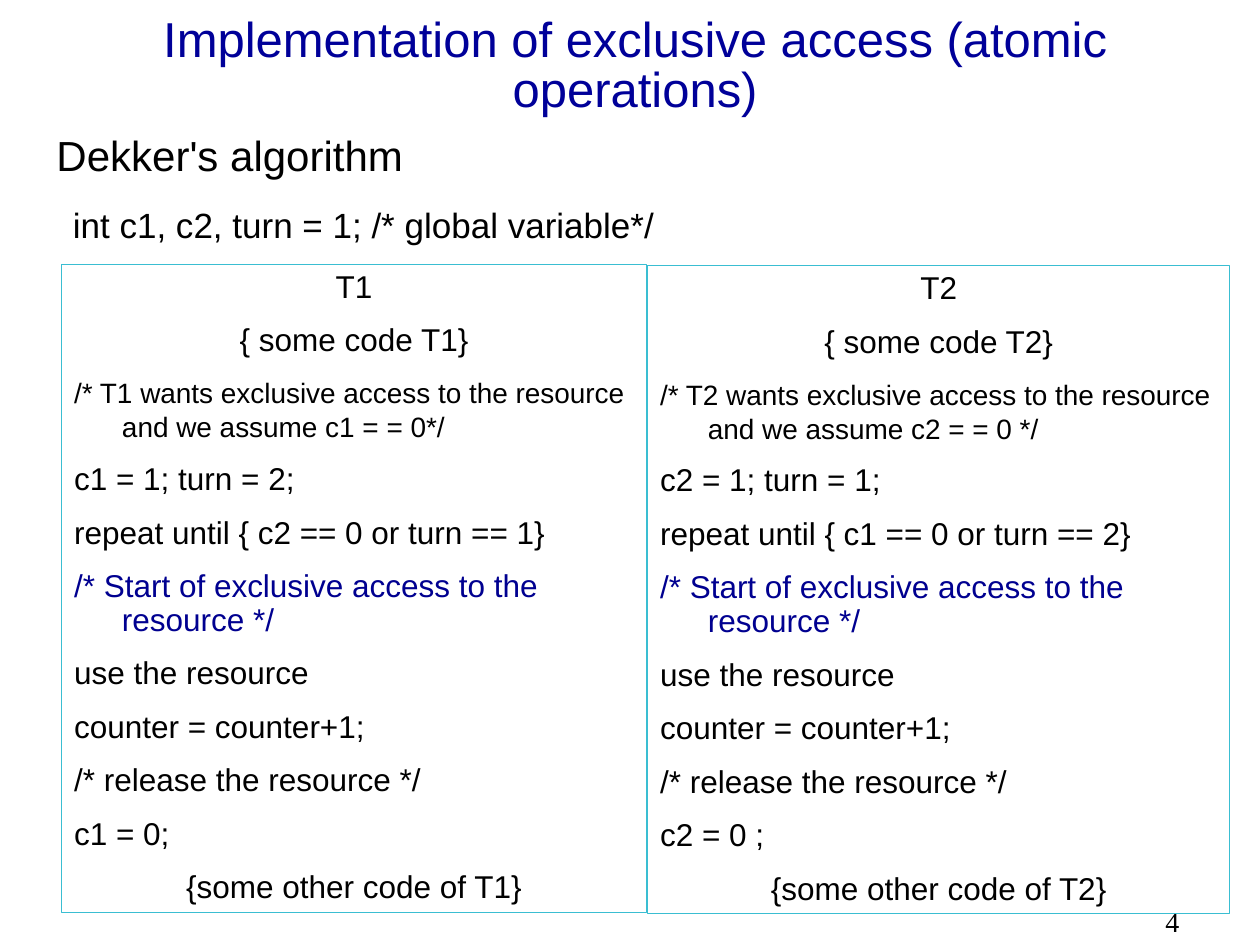
from pptx import Presentation
from pptx.dml.color import RGBColor
from pptx.enum.shapes import MSO_SHAPE
from pptx.enum.text import MSO_ANCHOR, PP_ALIGN
from pptx.util import Inches, Pt

LEFT, CENTER = PP_ALIGN.LEFT, PP_ALIGN.CENTER
TOP, MIDDLE = MSO_ANCHOR.TOP, MSO_ANCHOR.MIDDLE
RECTANGLE = MSO_SHAPE.RECTANGLE
BLACK, TITLE_BLUE, CODE_BLUE, TEAL = "000000", "000099", "000090", "3ABED2"


def color(value):
    return RGBColor.from_string(value)


def write(box, lines, anchor=TOP, spacing=19.4, hanging=0.38, font_name="Arial"):
    frame = box.text_frame
    frame.word_wrap = True
    frame.vertical_anchor = anchor
    for index, (text, size, text_color, alignment) in enumerate(lines):
        para = frame.paragraphs[0] if index == 0 else frame.add_paragraph()
        properties = para._p.get_or_add_pPr()
        properties.set("marL", str(Inches(hanging)))
        properties.set("indent", str(-Inches(hanging)))
        formats = {
            "alignment": alignment,
            "line_spacing": Pt(spacing) if spacing else None,
            "space_before": Pt(size * 0.62 if index else 0),
        }
        for name, value in formats.items():
            setattr(para, name, value)
        span = para.add_run()
        span.text = text
        for name, value in {"name": font_name, "size": Pt(size)}.items():
            setattr(span.font, name, value)
        span.font.color.rgb = color(text_color)


deck = Presentation()
deck.slide_width, deck.slide_height = Inches(10), Inches(7.5)
page = deck.slides.add_slide(deck.slide_layouts[6])

text_boxes = [
    ((9.15, 7.13, 0.85, 0.37), ("4", 16, BLACK, LEFT),
     {"spacing": None, "font_name": "Times New Roman"}),
    ((0.79, 0.19, 8.5, 0.69),
     ("Implementation of exclusive access (atomic operations)", 28, TITLE_BLUE, CENTER),
     {"anchor": MIDDLE, "spacing": 28.4, "hanging": 0}),
    ((0.35, 1.11, 9.47, 0.5), ("Dekker's algorithm", 24, BLACK, LEFT), {}),
    ((0.48, 1.63, 9.39, 0.37),
     ("int c1, c2, turn = 1; /* global variable*/", 20, BLACK, LEFT), {}),
]
for place, line, options in text_boxes:
    box = page.shapes.add_textbox(*map(Inches, place))
    write(box, [line], **options)

threads = [
    (1, 2, (0.49, 2.1, 4.64, 5.14), "= 0*/", "= 0;"),
    (2, 1, (5.14, 2.11, 4.62, 5.14), "= 0 */", "= 0 ;"),
]
for own, other, place, assumed, reset in threads:
    panel = page.shapes.add_shape(RECTANGLE, *map(Inches, place))
    panel.shadow.inherit = False
    panel.fill.background()
    panel.line.color.rgb = color(TEAL)
    panel.line.width = Pt(0.75)
    write(panel, [
        (f"T{own}", 18, BLACK, CENTER),
        (f"{{ some code T{own}}}", 18, BLACK, CENTER),
        (f"/* T{own} wants exclusive access to the resource and we assume c{own} = {assumed}",
         16, BLACK, LEFT),
        (f"c{own} = 1; turn = {other};", 18, BLACK, LEFT),
        (f"repeat until {{ c{other} == 0 or turn == {own}}}", 18, BLACK, LEFT),
        ("/* Start of exclusive access to the resource */", 18, CODE_BLUE, LEFT),
        ("use the resource", 18, BLACK, LEFT),
        ("counter = counter+1;", 18, BLACK, LEFT),
        ("/* release the resource */", 18, BLACK, LEFT),
        (f"c{own} {reset}", 18, BLACK, LEFT),
        (f"{{some other code of T{own}}}", 18, BLACK, CENTER),
    ])

deck.save("out.pptx")
